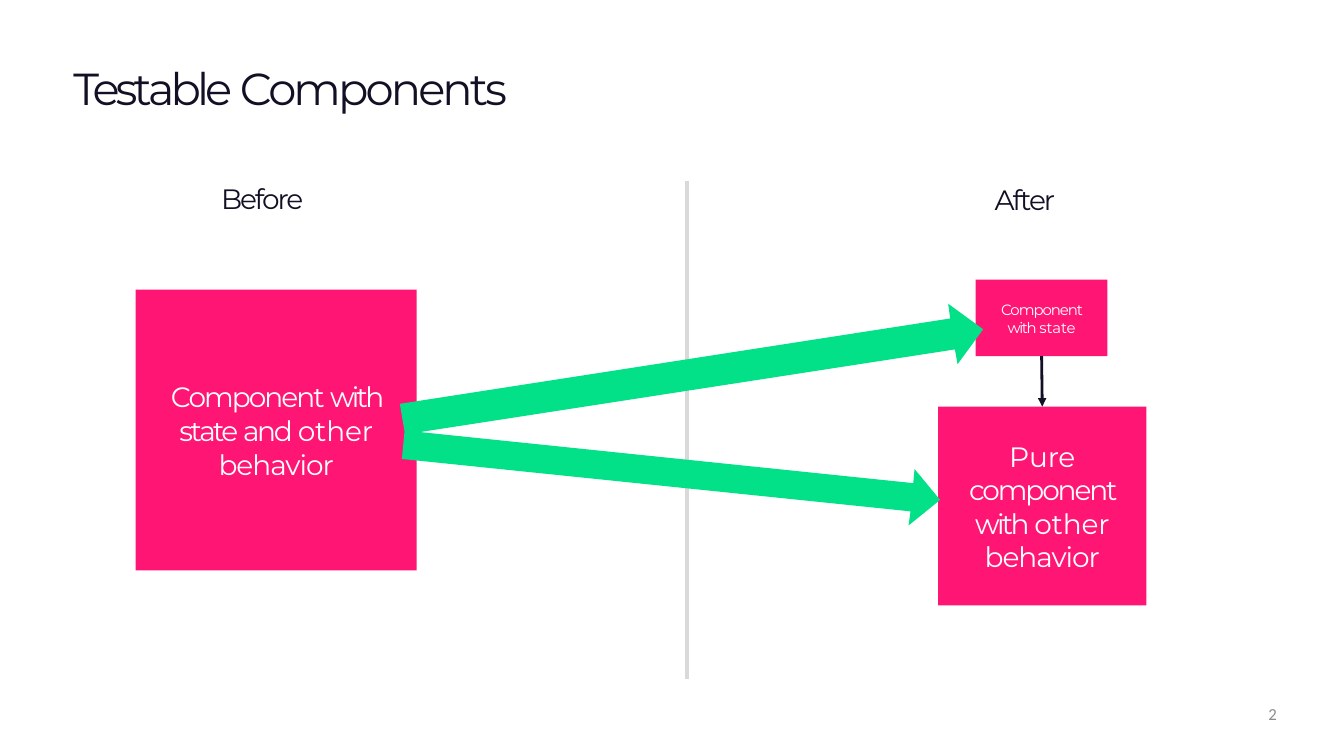
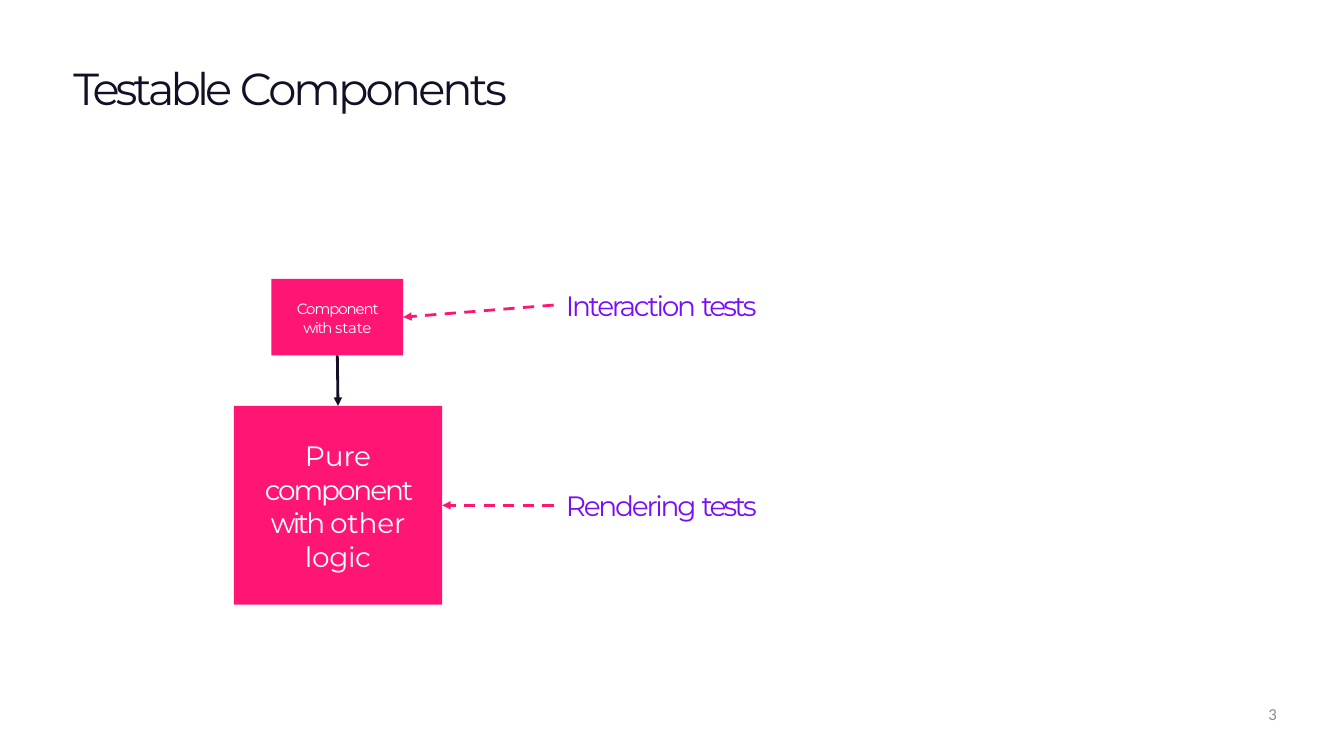
from pptx import Presentation
from pptx.dml.color import RGBColor
from pptx.enum.dml import MSO_LINE
from pptx.enum.shapes import MSO_CONNECTOR, MSO_SHAPE
from pptx.enum.text import MSO_ANCHOR, MSO_AUTO_SIZE, PP_ALIGN
from pptx.oxml.ns import qn
from pptx.util import Pt
from lxml import etree

PX = 9144  # 100 px to the inch
RECT = MSO_SHAPE.RECTANGLE
LINE = MSO_CONNECTOR.STRAIGHT
DASH = MSO_LINE.DASH
TOP, MID = MSO_ANCHOR.TOP, MSO_ANCHOR.MIDDLE
LEFT, MIDDLE, RIGHT = PP_ALIGN.LEFT, PP_ALIGN.CENTER, PP_ALIGN.RIGHT
COLORS = {"ink": "130F24", "pink": "FF1675", "green": "02E088",
          "violet": "770EF7", "rule": "D9D9D9", "gray": "8C8C8C",
          "white": "FFFFFF"}
RGB = {name: RGBColor.from_string(code) for name, code in COLORS.items()}


def write(shape, runs, size=30, color="ink", font="Montserrat",
          align=LEFT, anchor=TOP, pad=0, lead=None):
    """Fill a shape with one paragraph of (text, letter spacing) runs."""
    frame = shape.text_frame
    frame.word_wrap = True
    frame.auto_size = MSO_AUTO_SIZE.NONE
    frame.vertical_anchor = anchor
    frame.margin_left = frame.margin_right = pad * PX
    frame.margin_top = PX
    frame.margin_bottom = 0
    para = frame.paragraphs[0]
    para.alignment = align
    para.line_spacing = lead
    for text, gap in runs:
        run = para.add_run()
        run.text = text
        run.font.name = font
        run.font.size = Pt(size)
        run.font.color.rgb = RGB[color]
        run._r.get_or_add_rPr().set("spc", str(round(gap * 100)))


def draw(slide, start, end, color, width=3, dash=None, head=True):
    """Draw a straight line, with an arrowhead at its end if wanted."""
    line = slide.shapes.add_connector(
        LINE, *[v * PX for v in (*start, *end)])
    line.line.color.rgb = RGB[color]
    line.line.width = Pt(width)
    if dash:
        line.line.dash_style = dash
    if head:
        etree.SubElement(line.line._get_or_add_ln(), qn("a:tailEnd"),
                         type="triangle")
    etree.SubElement(line._element.spPr, qn("a:effectLst"))
    return line


# Wording, with the letter spacing of each word
title = [("Testable ", -4.2), ("Components", -3.1)]
state = [("Component ", -1.1), ("with ", -1.4), ("state", -0.2)]
pure = [("Pure ", -0.2), ("component ", -2.3), ("with ", -2.8),
        ("other ", -0.2)]
whole = [("Component ", -2.1), ("with ", -3), ("state ", -2.8),
         ("and ", -2.5), ("other ", -0.2), ("behavior", -1.1)]

# Boxes: left, top, width, height, runs, size, side padding, line spacing
pages = [
    [(1452, 416, 196, 114, state, 16, 34, 1.05),
     (1396, 605, 310, 296, pure + [("behavior", -1.1)], 30, 40, None),
     (202, 431, 418, 418, whole, 30, 42, None)],
    [(404, 415, 196, 114, state, 16, 34, 1.05),
     (348, 604, 310, 296, pure + [("logic", -0.4)], 30, 40, None)],
]

# Labels: left, top, width, runs, color
labels = [
    [(329, 269, 134, [("Before", -2.2)], "ink"),
     (1480, 271, 101, [("After", -2.1)], "ink")],
    [(842, 428, 329, [("Interaction ", -2.4), ("tests", -3)], "violet"),
     (842, 726, 315, [("Rendering ", -2.4), ("tests", -3)], "violet")],
]

deck = Presentation()
deck.slide_width, deck.slide_height = 2000 * PX, 1125 * PX
slides, blocks = [], []

# Title, boxes, labels and page number of each slide
for number, (boxes, tags) in enumerate(zip(pages, labels), 2):
    slide = deck.slides.add_slide(deck.slide_layouts[5])
    slides.append(slide)
    head = slide.shapes.title
    head.left, head.top, head.width, head.height = [
        v * PX for v in (109, 90, 710, 83)]
    write(head, title, size=48)

    group = []
    for *place, runs, size, pad, lead in boxes:
        box = slide.shapes.add_shape(RECT, *[v * PX for v in place])
        box.shadow.inherit = False
        box.fill.solid()
        box.fill.fore_color.rgb = RGB["pink"]
        box.line.fill.background()
        write(box, runs, size=size, color="white", align=MIDDLE,
              anchor=MID, pad=pad, lead=lead)
        group.append(box)
    blocks.append(group)

    # Arrow from the stateful component down to the pure one
    x, y, w, h = boxes[0][:4]
    arrow = draw(slide, (x + w // 2, y + h), (x + w // 2, boxes[1][1]), "ink")
    arrow.begin_connect(group[0], 2)
    arrow.end_connect(group[1], 0)

    for x, y, w, runs, color in tags:
        tag = slide.shapes.add_textbox(x * PX, y * PX, w * PX, 53 * PX)
        write(tag, runs, color=color)
    page = slide.shapes.add_textbox(1440 * PX, 1046 * PX, 460 * PX, 56 * PX)
    write(page, [(str(number), 0)], size=18, color="gray", font="Calibri",
          align=RIGHT)

# Before and after: divider and forked arrow
before, after = slides
draw(before, (1023, 270), (1023, 1011), "rule", width=4.3, head=False)
fork = [(1463, 490), (1411, 452), (1414, 474), (595, 601), (602, 642),
        (598, 683), (1355, 761), (1352, 782), (1399, 744), (1361, 698),
        (1359, 719), (625, 643), (1421, 520), (1425, 542)]
outline = before.shapes.build_freeform(*fork[0], scale=PX)
outline.add_line_segments(fork[1:], close=True)
split = outline.convert_to_shape()
split.shadow.inherit = False
split.fill.solid()
split.fill.fore_color.rgb = RGB["green"]
split.line.fill.background()

# Tests: dashed arrows from the labels to the boxes
for box, start, end in zip(blocks[1], [(824, 454), (824, 752)],
                           [(600, 472), (658, 752)]):
    draw(after, start, end, "pink", dash=DASH).end_connect(box, 3)

deck.save("out.pptx")
